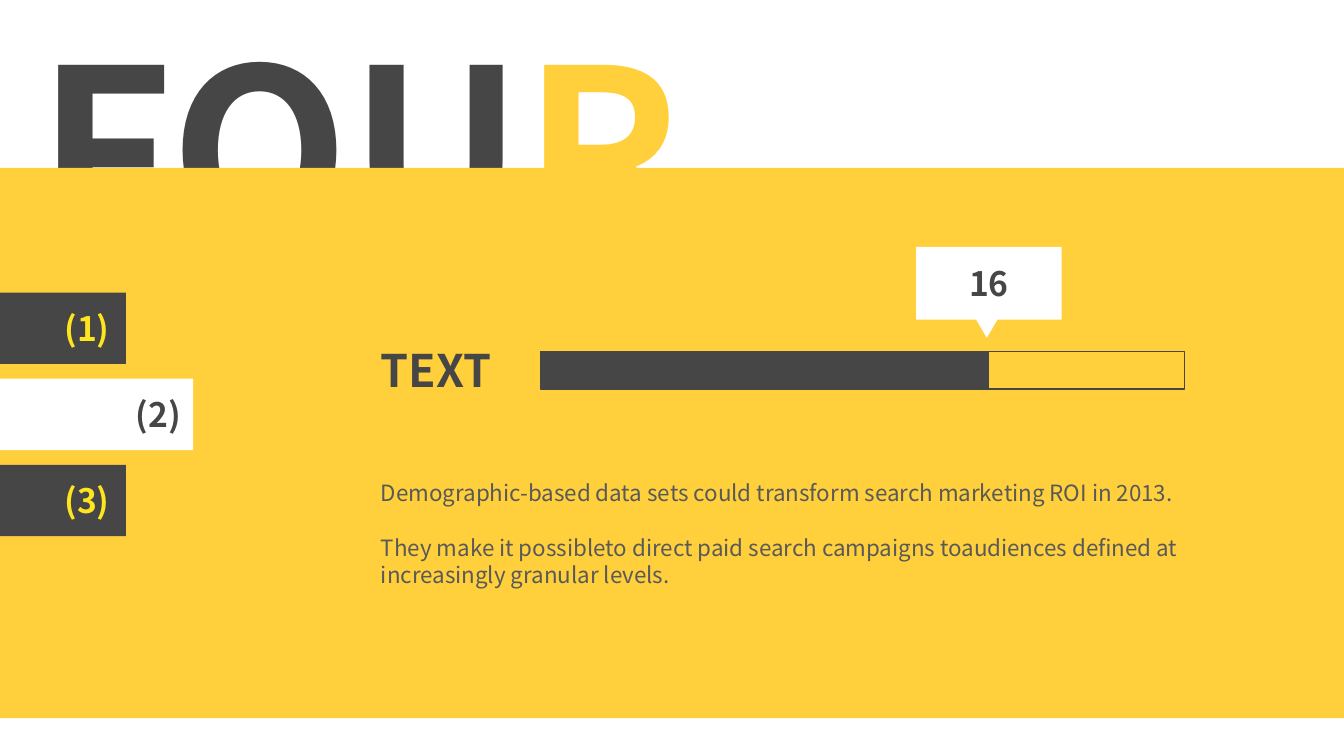
from pptx import Presentation
from pptx.dml.color import RGBColor
from pptx.enum.shapes import MSO_SHAPE
from pptx.enum.text import MSO_ANCHOR, PP_ALIGN
from pptx.util import Pt

RECTANGLE = MSO_SHAPE.RECTANGLE
TRIANGLE = MSO_SHAPE.ISOSCELES_TRIANGLE
MIDDLE = MSO_ANCHOR.MIDDLE
CENTER = PP_ALIGN.CENTER

FONT = "Noto Sans CJK SC"
YELLOW = RGBColor(0xFF, 0xD0, 0x3B)
LEMON = RGBColor(0xFF, 0xE5, 0x1E)
CHARCOAL = RGBColor(0x46, 0x46, 0x46)
GRAY = RGBColor(0x59, 0x59, 0x59)
WHITE = RGBColor(0xFF, 0xFF, 0xFF)

SLIDE_WIDTH, SLIDE_HEIGHT = 960, 540
STEPS = ["(1)", "(2)", "(3)"]
ACTIVE_STEP = 1
STATEMENTS = [
    "Demographic-based data sets could transform search marketing ROI in 2013.",
    "They make it possibleto direct paid search campaigns toaudiences defined at "
    "increasingly granular levels.",
]


def style_run(run, size, color, bold=True):
    """Set the typeface, size, colour and weight of a run."""
    run.font.name = FONT
    run.font.size = Pt(size)
    run.font.bold = bold
    run.font.color.rgb = color


def add_block(slide, kind, left, top, width, height, fill=None, outline=None):
    """Add a flat shape with an optional fill and outline."""
    block = slide.shapes.add_shape(kind, Pt(left), Pt(top), Pt(width), Pt(height))
    block.shadow.inherit = False
    if fill is None:
        block.fill.background()
    else:
        block.fill.solid()
        block.fill.fore_color.rgb = fill
    if outline is None:
        block.line.fill.background()
    else:
        block.line.color.rgb = outline
        block.line.width = Pt(1)
    return block


def add_label(slide, left, top, width, height, text, size, color):
    """Add a bold one-line label and return its paragraph."""
    label = slide.shapes.add_textbox(Pt(left), Pt(top), Pt(width), Pt(height))
    label.text_frame.word_wrap = True
    label.text_frame.text = text
    paragraph = label.text_frame.paragraphs[0]
    style_run(paragraph.runs[0], size, color)
    return paragraph


def add_heading(slide, left, top, width, height):
    """Add the oversized heading with its last letter highlighted."""
    heading = add_label(slide, left, top, width, height, "FOU", 166, CHARCOAL)
    last_letter = heading.add_run()
    last_letter.text = "R"
    style_run(last_letter, 166, YELLOW)


def add_steps(slide, left, top, tab_width, tab_height, pitch):
    """Add the stacked step tabs, the active one wider and white."""
    for index, step in enumerate(STEPS):
        active = index == ACTIVE_STEP
        tab_top = top + index * pitch
        width = tab_width + 48 if active else tab_width
        add_block(slide, RECTANGLE, left, tab_top, width, tab_height,
                  WHITE if active else CHARCOAL)
        add_label(slide, left + width - (48 if active else 51), tab_top + 7.3,
                  61, 36, step, 24, CHARCOAL if active else LEMON)


def add_progress(slide, left, top, width, height, filled):
    """Add the labelled progress bar with its value callout."""
    add_label(slide, left - 121, top - 10, 112, 46, "TEXT", 32, CHARCOAL)
    add_block(slide, RECTANGLE, left, top, filled, height, CHARCOAL)
    add_block(slide, RECTANGLE, left, top, width, height, outline=CHARCOAL)

    pointer = add_block(slide, TRIANGLE, left + filled - 24.3, top - 49, 45.5, 39, WHITE)
    pointer.rotation = 180
    callout = add_block(slide, RECTANGLE, left + filled - 52, top - 75, 104, 52, WHITE)
    callout.text_frame.vertical_anchor = MIDDLE
    callout.text_frame.text = "16"
    value = callout.text_frame.paragraphs[0]
    value.alignment = CENTER
    style_run(value.runs[0], 24, CHARCOAL)


def add_statements(slide, left, top, width, height):
    """Add the explanatory paragraphs."""
    body = slide.shapes.add_textbox(Pt(left), Pt(top), Pt(width), Pt(height))
    frame = body.text_frame
    frame.word_wrap = True
    for index, statement in enumerate(STATEMENTS):
        paragraph = frame.add_paragraph() if index else frame.paragraphs[0]
        paragraph.text = statement
        if index:
            paragraph.space_before = Pt(20)
        style_run(paragraph.runs[0], 16, GRAY, bold=False)


def main():
    """Build and save the slide."""
    deck = Presentation()
    deck.slide_width, deck.slide_height = Pt(SLIDE_WIDTH), Pt(SLIDE_HEIGHT)
    slide = deck.slides.add_slide(deck.slide_layouts[6])
    add_heading(slide, 19.5, 0, 501, 208)
    add_block(slide, RECTANGLE, 0, 120, SLIDE_WIDTH, 393, YELLOW)
    add_steps(slide, 0, 209, 90, 51, 61.5)
    add_progress(slide, 386, 251.3, 460, 26.6, 320.4)
    add_statements(slide, 265, 339, 646, 104.4)
    deck.save("out.pptx")


if __name__ == "__main__":
    main()
